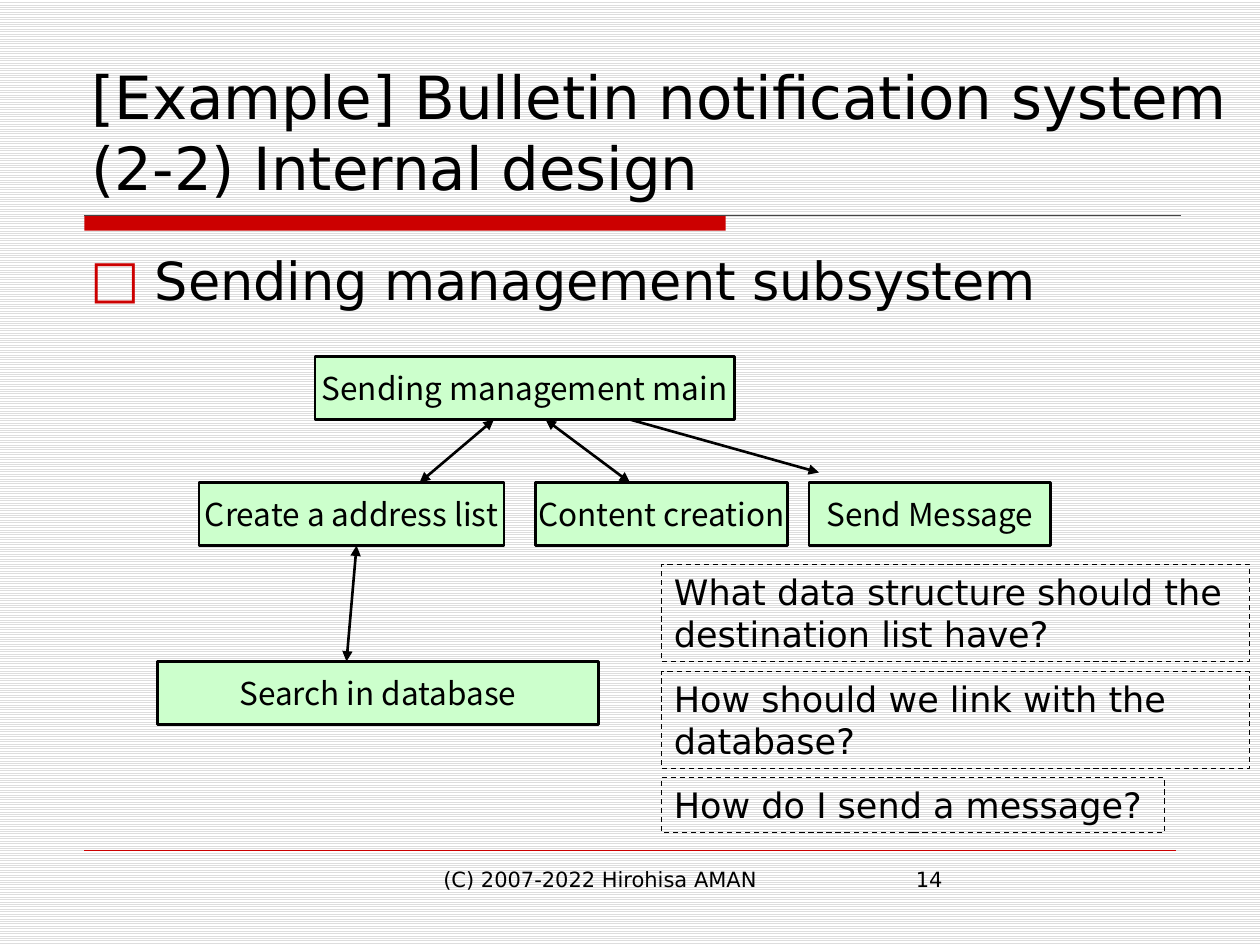
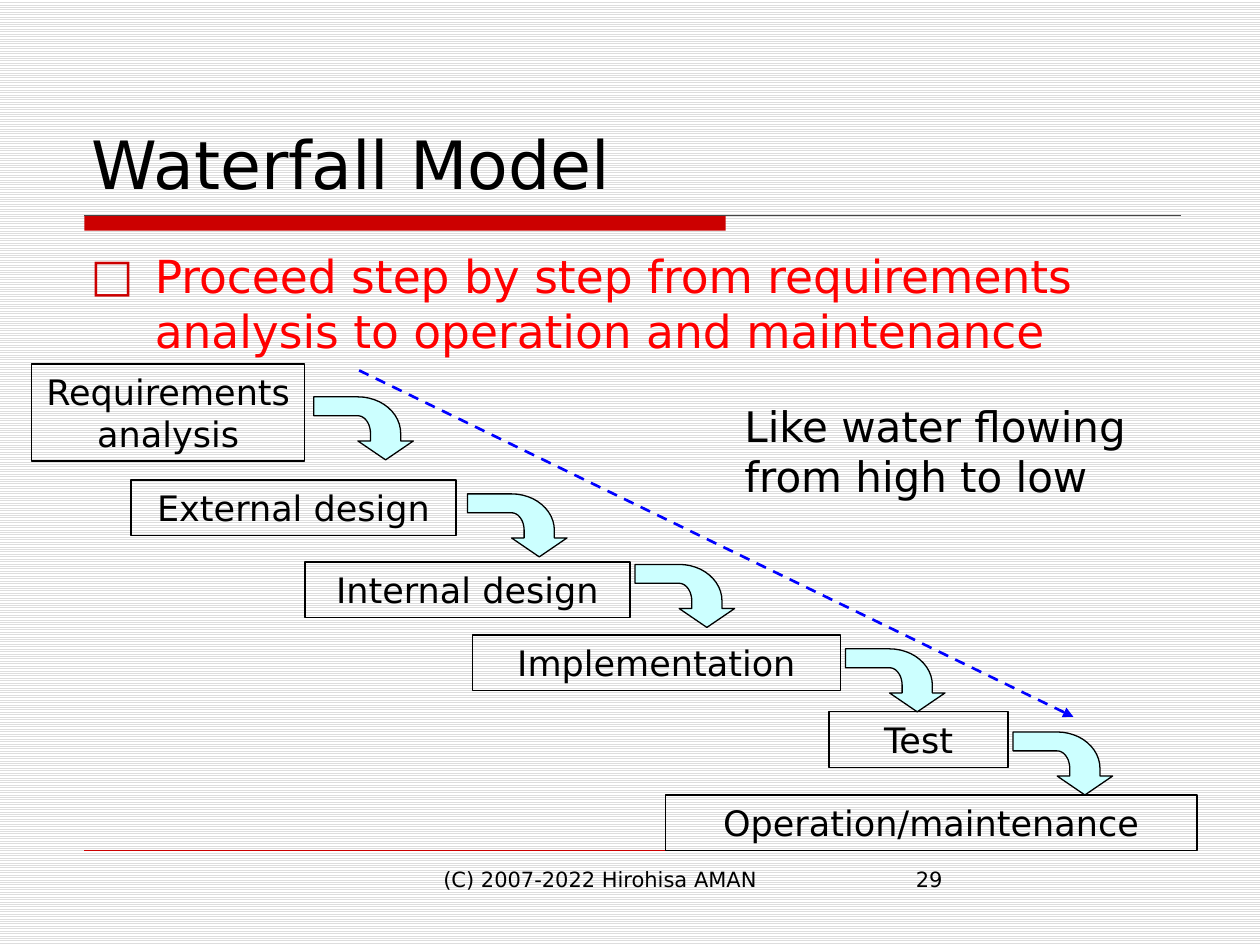
from math import cos, pi, sin

from lxml import etree
from pptx import Presentation
from pptx import util as u
from pptx.dml import color
from pptx.enum import dml, shapes, text
from pptx.oxml import ns

INK = {"black": "000000", "band": "CC0000", "rule": "444444", "red": "FF0000",
       "blue": "0000FF", "green": "CCFFCC", "aqua": "CCFFFF",
       "stripe": "DDDDDD", "white": "FFFFFF"}
SANS, NOTO = "DejaVu Sans", "Noto Sans CJK JP"
ALIGN, ANCHOR = text.PP_ALIGN, text.MSO_ANCHOR
RECT = shapes.MSO_SHAPE.RECTANGLE


def rgb(name):
    return color.RGBColor.from_string(INK[name])


def sub(node, tag, **attrs):
    return etree.SubElement(node, ns.qn(tag), attrs)


def write(frame, words, size=20, font=SANS, ink="black", align=ALIGN.LEFT,
          anchor=ANCHOR.TOP, wrap=True, before=0, bullet=None):
    frame.word_wrap = wrap
    frame.vertical_anchor = anchor
    para = frame.paragraphs[0]
    para.text = words
    para.alignment = align
    para.space_before = u.Pt(before)
    for run in para.runs:
        run.font.size = u.Pt(size)
        run.font.name = font
        run.font.color.rgb = rgb(ink)
        sub(run.font._element, "a:ea", typeface=font)
    if bullet:
        props = para._p.get_or_add_pPr()
        indent = u.Inches(0.51)
        props.set("marL", str(indent))
        props.set("indent", str(-indent))
        sub(sub(props, "a:buClr"), "a:srgbClr", val=INK["band"])
        sub(props, "a:buFont", typeface=font)
        sub(props, "a:buChar", char=bullet)


class Deck:
    def __init__(self):
        self.file = Presentation()
        self.file.slide_width = u.Inches(10)
        self.file.slide_height = u.Inches(7.5)

    def start(self, title, number, size, width=8.75):
        self.page = self.file.slides.add_slide(self.file.slide_layouts[6])
        fill = self.page.background.fill
        fill.patterned()
        fill.pattern = dml.MSO_PATTERN.LIGHT_HORIZONTAL
        fill.fore_color.rgb = rgb("stripe")
        fill.back_color.rgb = rgb("white")
        self.box(0.67, 1.71, 5.09, 0.12, fill="band", line=None)
        self.line((0.67, 1.71), (9.37, 1.71), ink="rule", width=0.75)
        self.line((0.67, 6.75), (9.33, 6.75), ink="band", width=0.25)
        self.label("(C) 2007-2022 Hirohisa AMAN", 3.42, 6.83, 3.17, 0.52, size=12)
        self.label(number, 7.17, 6.83, 2.17, 0.52, size=12)
        self.label(title, 0.63, 0.33, width, 1.33, size=size, anchor=ANCHOR.BOTTOM)

    def label(self, words, x, y, w, h, **style):
        box = self.page.shapes.add_textbox(*map(u.Inches, (x, y, w, h)))
        write(box.text_frame, words, **style)

    def point(self, words, **style):
        self.label(words, 0.62, 1.92, 8.75, 4.67, bullet="□", before=2, **style)

    def paint(self, shape, fill, line, width, dash=False):
        shape.shadow.inherit = False
        if fill:
            shape.fill.solid()
            shape.fill.fore_color.rgb = rgb(fill)
        else:
            shape.fill.background()
        if line:
            self.stroke(shape.line, line, width, dash)
        else:
            shape.line.fill.background()

    def stroke(self, line, ink, width, dash):
        line.color.rgb = rgb(ink)
        line.width = u.Pt(width)
        if dash:
            line.dash_style = dml.MSO_LINE.DASH

    def box(self, x, y, w, h, words=None, fill=None, line="black", width=0.75,
            dash=False, **style):
        shape = self.page.shapes.add_shape(RECT, *map(u.Inches, (x, y, w, h)))
        self.paint(shape, fill, line, width, dash)
        if words:
            write(shape.text_frame, words, **style)

    def node(self, words, x, y, w):
        self.box(x, y, w, 0.5, words, fill="green", width=1.5, size=18, font=NOTO,
                 align=ALIGN.CENTER, anchor=ANCHOR.MIDDLE, wrap=False)

    def line(self, start, end, ink="black", width=1.5, dash=False, heads=()):
        link = self.page.shapes.add_connector(
            shapes.MSO_CONNECTOR.STRAIGHT, *map(u.Inches, start + end))
        self.stroke(link.line, ink, width, dash)
        for head in heads:
            sub(link.line._get_or_add_ln(), head, type="triangle", w="med", len="med")
        sub(link._element.spPr, "a:effectLst")

    def bend(self, x, y):
        turns = [pi / 2 * i / 12 for i in range(13)]
        outer = [(0.35 + 0.34 * cos(t), 0.29 - 0.29 * sin(t)) for t in turns]
        inner = [(0.35 + 0.1 * sin(t), 0.29 - 0.14 * cos(t)) for t in turns]
        marks = [(0.57, 0.5), (0.79, 0.35), (0.69, 0.35), *outer, (0, 0),
                 (0, 0.15), *inner, (0.45, 0.35), (0.35, 0.35)]
        spots = [(u.Inches(x + a), u.Inches(y + b)) for a, b in marks]
        path = self.page.shapes.build_freeform(*spots[0])
        path.add_line_segments(spots[1:], close=True)
        self.paint(path.convert_to_shape(), "aqua", "black", 0.75)


def design(deck):
    deck.start("[Example] Bulletin notification system\v(2-2) Internal design",
               "14", 34, width=9.37)
    deck.point("Sending management subsystem", size=30)
    for words, x, y, w in (("Sending management main", 2.5, 2.83, 3.33),
                           ("Create a address list", 1.58, 3.83, 2.42),
                           ("Content creation", 4.25, 3.83, 2),
                           ("Send Message", 6.42, 3.83, 1.92),
                           ("Search in database", 1.25, 5.25, 3.5)):
        deck.node(words, x, y, w)
    both = ("a:headEnd", "a:tailEnd")
    for start, end, heads in (((3.92, 3.33), (3.33, 3.83), both),
                              ((2.83, 4.33), (2.75, 5.25), both),
                              ((4.33, 3.33), (5, 3.83), both),
                              ((5, 3.33), (6.5, 3.75), both[1:])):
        deck.line(start, end, heads=heads)
    for words, y, w, h in (
            ("What data structure should the destination list have?", 4.48, 4.67, 0.77),
            ("How should we link with the database?", 5.33, 4.67, 0.77),
            ("How do I send a message?", 6.17, 3.99, 0.44)):
        deck.box(5.25, y, w, h, words, dash=True)


def model(deck):
    deck.start("Waterfall Model", "29", 38)
    deck.point("Proceed step by step from requirements analysis to operation "
               "and maintenance", size=26, ink="red")
    for words, x, y, w, h in (("Requirements analysis", 0.25, 2.89, 2.17, 0.77),
                              ("External design", 1.04, 3.81, 2.58, 0.44),
                              ("Internal design", 2.42, 4.46, 2.58, 0.44),
                              ("Implementation", 3.75, 5.04, 2.92, 0.44),
                              ("Test", 6.58, 5.65, 1.42, 0.44),
                              ("Operation/maintenance", 5.28, 6.31, 4.22, 0.44)):
        deck.box(x, y, w, h, words, align=ALIGN.CENTER)
    for x, y in ((2.49, 3.15), (3.71, 3.92), (5.04, 4.48), (6.71, 5.15), (8.04, 5.81)):
        deck.bend(x, y)
    deck.line((2.85, 2.94), (8.52, 5.69), ink="blue", dash=True, heads=["a:tailEnd"])
    deck.label("Like water flowing from high to low", 5.81, 3.13, 3.77, 0.98,
               size=24, before=2)


def main():
    deck = Deck()
    design(deck)
    model(deck)
    deck.file.save("out.pptx")


if __name__ == "__main__":
    main()
